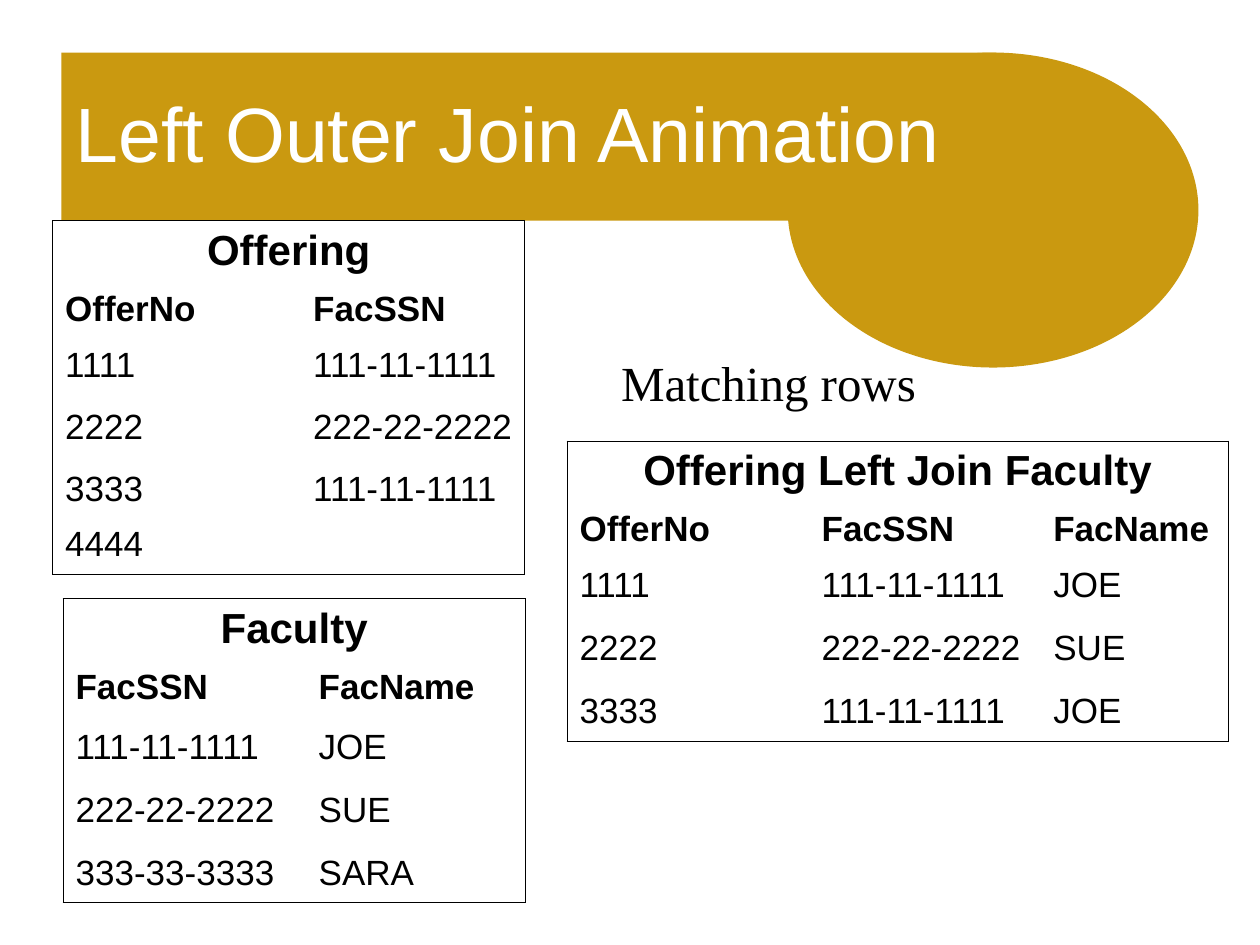
from lxml import etree
from pptx import Presentation
from pptx.dml.color import RGBColor
from pptx.enum.shapes import MSO_SHAPE
from pptx.enum.text import MSO_ANCHOR, MSO_AUTO_SIZE, PP_ALIGN
from pptx.oxml.ns import qn
from pptx.util import Cm, Pt

LEFT, CENTER = PP_ALIGN.LEFT, PP_ALIGN.CENTER
MIDDLE = MSO_ANCHOR.MIDDLE
GROW = MSO_AUTO_SIZE.SHAPE_TO_FIT_TEXT
RECTANGLE, OVAL = MSO_SHAPE.RECTANGLE, MSO_SHAPE.OVAL
GOLD = RGBColor(0xCA, 0x99, 0x10)
WHITE = RGBColor(0xFF, 0xFF, 0xFF)
BLACK = RGBColor(0x00, 0x00, 0x00)

TITLE_FORMAT = {"name": "Arial", "size": Pt(44), "bold": False}
CAPTION_FORMAT = {"name": "Times New Roman", "size": Pt(28)}
HEADING_FORMAT = {"name": "Arial", "size": Pt(24), "bold": True}
COLUMN_FORMAT = {"name": "Arial", "size": Pt(20), "bold": True}
VALUE_FORMAT = {"name": "Arial", "size": Pt(20), "bold": False}

# Positions, column widths and row heights in centimetres
RELATIONS = [
    {"heading": "Faculty", "at": (1.27, 12.07), "space": 0.25,
     "widths": [4.9, 4.42], "heights": [1.27, 1.2, 1.27, 1.27, 1.12],
     "rows": [["FacSSN", "FacName"],
              ["111-11-1111", "JOE"],
              ["222-22-2222", "SUE"],
              ["333-33-3333", "SARA"]]},
    {"heading": "Offering", "at": (1.06, 4.45), "space": 0.25,
     "widths": [5.0, 4.52], "heights": [1.27, 1.12, 1.25, 1.25, 1.12, 1.12],
     "rows": [["OfferNo", "FacSSN"],
              ["1111", "111-11-1111"],
              ["2222", "222-22-2222"],
              ["3333", "111-11-1111"],
              ["4444", ""]]},
    {"heading": "Offering Left Join Faculty", "at": (11.43, 8.89), "space": 0,
     "widths": [4.88, 4.67, 3.78], "heights": [1.27, 1.12, 1.27, 1.27, 1.12],
     "rows": [["OfferNo", "FacSSN", "FacName"],
              ["1111", "111-11-1111", "JOE"],
              ["2222", "222-22-2222", "SUE"],
              ["3333", "111-11-1111", "JOE"]]},
]


def write(frame, text, formats, color, align=LEFT, space=0):
    """Fill the frame with one paragraph; space is a share of the font size."""
    paragraph = frame.paragraphs[0]
    paragraph.alignment = align
    paragraph.space_before = Pt(formats["size"].pt * space)
    run = paragraph.add_run()
    run.text = text
    for attribute, value in formats.items():
        setattr(run.font, attribute, value)
    run.font.color.rgb = color


def set_borders(cell, drawn_sides):
    """Draw the cell's sides listed and leave the others without a line."""
    properties = cell._tc.get_or_add_tcPr()
    for side in "LRTB":
        line = etree.SubElement(properties, qn(f"a:ln{side}"), w="5715")
        if side in drawn_sides:
            fill = etree.SubElement(line, qn("a:solidFill"))
            etree.SubElement(fill, qn("a:srgbClr"), val=str(BLACK))
        else:
            etree.SubElement(line, qn("a:noFill"))


prs = Presentation()
prs.slide_width, prs.slide_height = Cm(25.4), Cm(19.05)
slide = prs.slides.add_slide(prs.slide_layouts[5])

# Title on a gold band with a round end
title = slide.shapes.title
title.left, title.top, title.width, title.height = Cm(1.27), Cm(1.06), Cm(22.22), Cm(3.18)
title.text_frame.vertical_anchor = MIDDLE
write(title.text_frame, "Left Outer Join Animation", TITLE_FORMAT, WHITE)

for outline, left, width, height in [(RECTANGLE, 1.24, 18.85, 3.39), (OVAL, 15.88, 8.28, 6.35)]:
    band = slide.shapes.add_shape(outline, Cm(left), Cm(1.06), Cm(width), Cm(height))
    band.shadow.inherit = False
    band.fill.solid()
    band.fill.fore_color.rgb = GOLD
    band.line.fill.background()
    title.element.addprevious(band.element)

# Relations
for relation in RELATIONS:
    widths, heights = relation["widths"], relation["heights"]
    left, top = relation["at"]
    table = slide.shapes.add_table(len(heights), len(widths), Cm(left), Cm(top),
                                   Cm(sum(widths)), Cm(sum(heights))).table
    table.first_row = table.horz_banding = False
    for column, width in zip(table.columns, widths):
        column.width = Cm(width)
    for row, height in zip(table.rows, heights):
        row.height = Cm(height)

    heading = table.cell(0, 0)
    last_row, last_column = len(heights) - 1, len(widths) - 1
    heading.merge(table.cell(0, last_column))
    for r in range(len(heights)):
        for c in range(len(widths)):
            cell = table.cell(r, c)
            # The merged heading reaches both outer sides
            edges = {"L": c == 0, "R": r == 0 or c == last_column,
                     "T": r == 0, "B": r == last_row}
            set_borders(cell, [side for side, outer in edges.items() if outer])
            cell.fill.background()

    write(heading.text_frame, relation["heading"], HEADING_FORMAT, BLACK, CENTER, relation["space"])
    for r, values in enumerate(relation["rows"], start=1):
        formats = COLUMN_FORMAT if r == 1 else VALUE_FORMAT
        for c, value in enumerate(values):
            if value:
                write(table.cell(r, c).text_frame, value, formats, BLACK, space=relation["space"])

# Caption above the join result
caption = slide.shapes.add_textbox(Cm(12.27), Cm(6.99), Cm(8.26), Cm(1.45))
caption.text_frame.word_wrap = True
caption.text_frame.auto_size = GROW
write(caption.text_frame, "Matching rows", CAPTION_FORMAT, BLACK, space=0.625)

prs.save("out.pptx")
